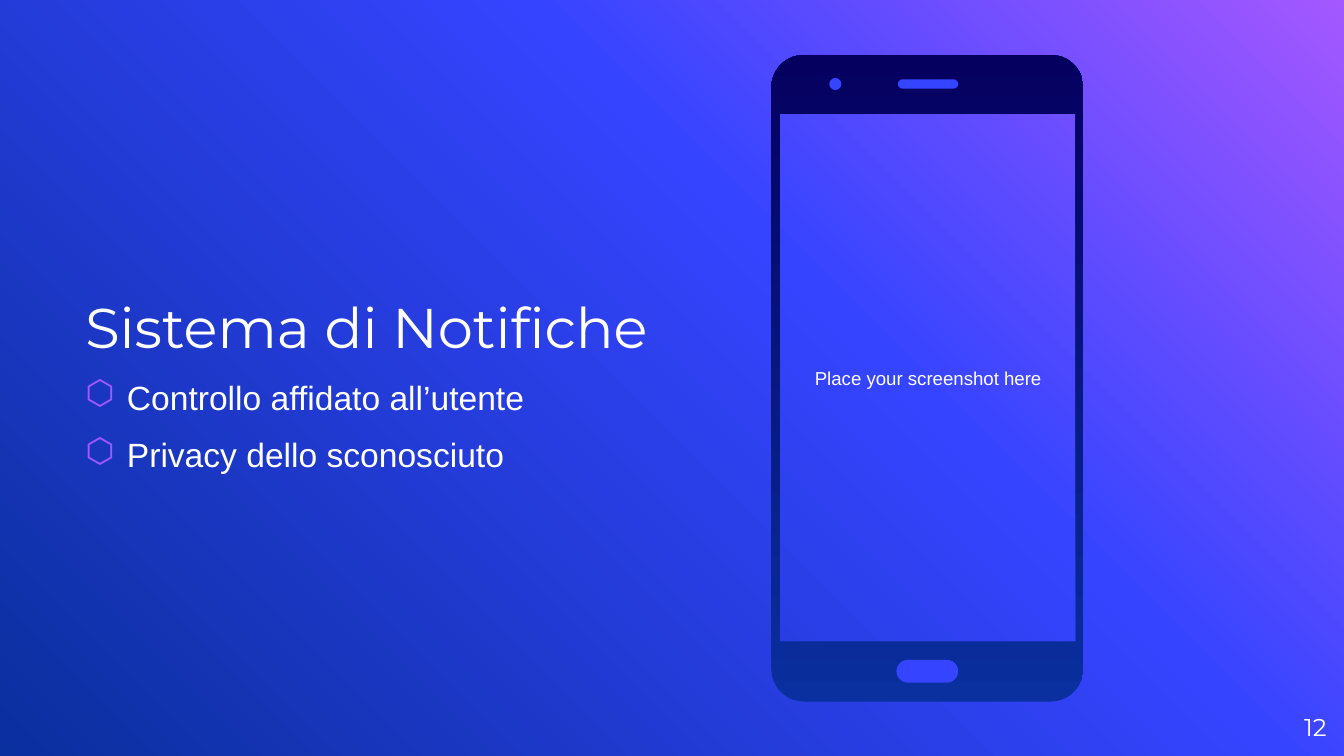
import math

from lxml import etree
from pptx import Presentation
from pptx import util as u
from pptx.dml.color import RGBColor
from pptx.enum import shapes, text
from pptx.oxml import ns

COLORS = {
    "violet": "A458FF",
    "blue": "3544FF",
    "navy": "0A2F9E",
    "midnight": "050060",
    "white": "FFFFFF",
}
COLUMNS = 100
FORMATS = {
    "title": {"name": "Montserrat", "size": u.Pt(30)},
    "bullet": {"name": "Arial", "size": u.Pt(18)},
    "hint": {"name": "Arial", "size": u.Pt(10)},
    "number": {"name": "Montserrat", "size": u.Pt(13)},
}
LIST_SPACING = {"line_spacing": 1.15, "space_before": u.Pt(6)}


class SlideBuilder:
    def __init__(self, deck):
        self.page = deck.slides.add_slide(deck.slide_layouts[6])
        self.unit = deck.slide_width / COLUMNS

    def grid(self, *lengths):
        return [round(length * self.unit) for length in lengths]

    def gradient(self, owner, fill, stops, angle):
        fill.gradient()
        fill.gradient_angle = angle
        stop_list = next(owner.element.iter(ns.qn("a:gsLst")))
        for stop in list(stop_list):
            stop_list.remove(stop)
        for percent, color in stops:
            stop = etree.SubElement(stop_list, ns.qn("a:gs"), pos=str(percent * 1000))
            etree.SubElement(stop, ns.qn("a:srgbClr"), val=COLORS[color])

    def background(self, stops, angle):
        self.gradient(self.page, self.page.background.fill, stops, angle)

    def text_box(self, area, inset=0):
        box = self.page.shapes.add_textbox(*self.grid(*area))
        frame = box.text_frame
        margin = self.grid(inset)[0]
        settings = {"word_wrap": True, "vertical_anchor": text.MSO_ANCHOR.MIDDLE}
        for side in ("left", "right", "top", "bottom"):
            settings[f"margin_{side}"] = margin
        for key, value in settings.items():
            setattr(frame, key, value)
        return frame

    def add_text(self, para, words, style, **layout):
        for key, value in layout.items():
            setattr(para, key, value)
        span = para.add_run()
        span.text = words
        for key, value in FORMATS[style].items():
            setattr(span.font, key, value)
        span.font.color.rgb = RGBColor.from_string(COLORS["white"])

    def bullet(self, para, words, indent):
        self.add_text(para, words, "bullet", **LIST_SPACING)
        offset = self.grid(indent)[0]
        props = para._p.get_or_add_pPr()
        props.set("marL", str(offset))
        props.set("indent", str(-offset))
        color = etree.SubElement(props, ns.qn("a:buClr"))
        etree.SubElement(color, ns.qn("a:srgbClr"), val=COLORS["violet"])
        etree.SubElement(props, ns.qn("a:buChar"), char="⬡")

    def preset(self, kind, area, color):
        shape = self.page.shapes.add_shape(kind, *self.grid(*area))
        shape.shadow.inherit = False
        shape.fill.solid()
        shape.fill.fore_color.rgb = RGBColor.from_string(COLORS[color])
        shape.line.fill.background()
        return shape

    def pill(self, area, color):
        self.preset(shapes.MSO_SHAPE.ROUNDED_RECTANGLE, area, color).adjustments[0] = 0.5

    def frame(self, outer, inner, radius, stops, angle):
        left, top, width, height = outer
        near_x, far_x = left + radius, left + width - radius
        near_y, far_y = top + radius, top + height - radius
        corners = [
            (near_x, near_y, 270),
            (near_x, far_y, 180),
            (far_x, far_y, 90),
            (far_x, near_y, 360),
        ]
        outline = [
            self.grid(
                x + radius * math.cos(math.radians(start - turn)),
                y + radius * math.sin(math.radians(start - turn)),
            )
            for x, y, start in corners
            for turn in range(0, 91, 10)
        ]
        left, top, width, height = inner
        right, bottom = left + width, top + height
        opening = [
            self.grid(*point)
            for point in ((right, top), (right, bottom), (left, bottom), (left, top))
        ]
        builder = self.page.shapes.build_freeform(*opening[0])
        builder.add_line_segments(opening[1:])
        builder.move_to(*outline[0])
        builder.add_line_segments(outline[1:])
        shape = builder.convert_to_shape()
        shape.shadow.inherit = False
        shape.line.fill.background()
        self.gradient(shape, shape.fill, stops, angle)


def main():
    deck = Presentation()
    deck.slide_width = u.Inches(10)
    deck.slide_height = u.Inches(10 * 9 / 16)
    slide = SlideBuilder(deck)
    slide.background([(0, "violet"), (39, "blue"), (100, "navy")], 225)

    body = slide.text_box((6.35, 8.6, 43.7, 39.1))
    slide.add_text(body.paragraphs[0], "Sistema di Notifiche", "title", **LIST_SPACING)
    for words in ("Controllo affidato all’utente", "Privacy dello sconosciuto"):
        slide.bullet(body.add_paragraph(), words, 3.1)

    hint = slide.text_box((58.05, 8.6, 22, 39.1), inset=1)
    slide.add_text(hint.paragraphs[0], "Place your screenshot here", "hint",
                   alignment=text.PP_ALIGN.CENTER)

    number = slide.text_box((92.7, 51.9, 6, 4.3))
    slide.add_text(number.paragraphs[0], "12", "number", alignment=text.PP_ALIGN.RIGHT)

    slide.frame((57.4, 4.1, 23.2, 48.1), (58, 8.45, 22.05, 39.3), 2.4,
                [(0, "navy"), (100, "midnight")], 90)
    slide.pill((66.7, 49.1, 4.6, 1.7), "blue")
    slide.preset(shapes.MSO_SHAPE.OVAL, (61.7, 5.8, 0.9, 0.9), "blue")
    slide.pill((66.8, 5.9, 4.5, 0.7), "blue")

    deck.save("out.pptx")


if __name__ == "__main__":
    main()
